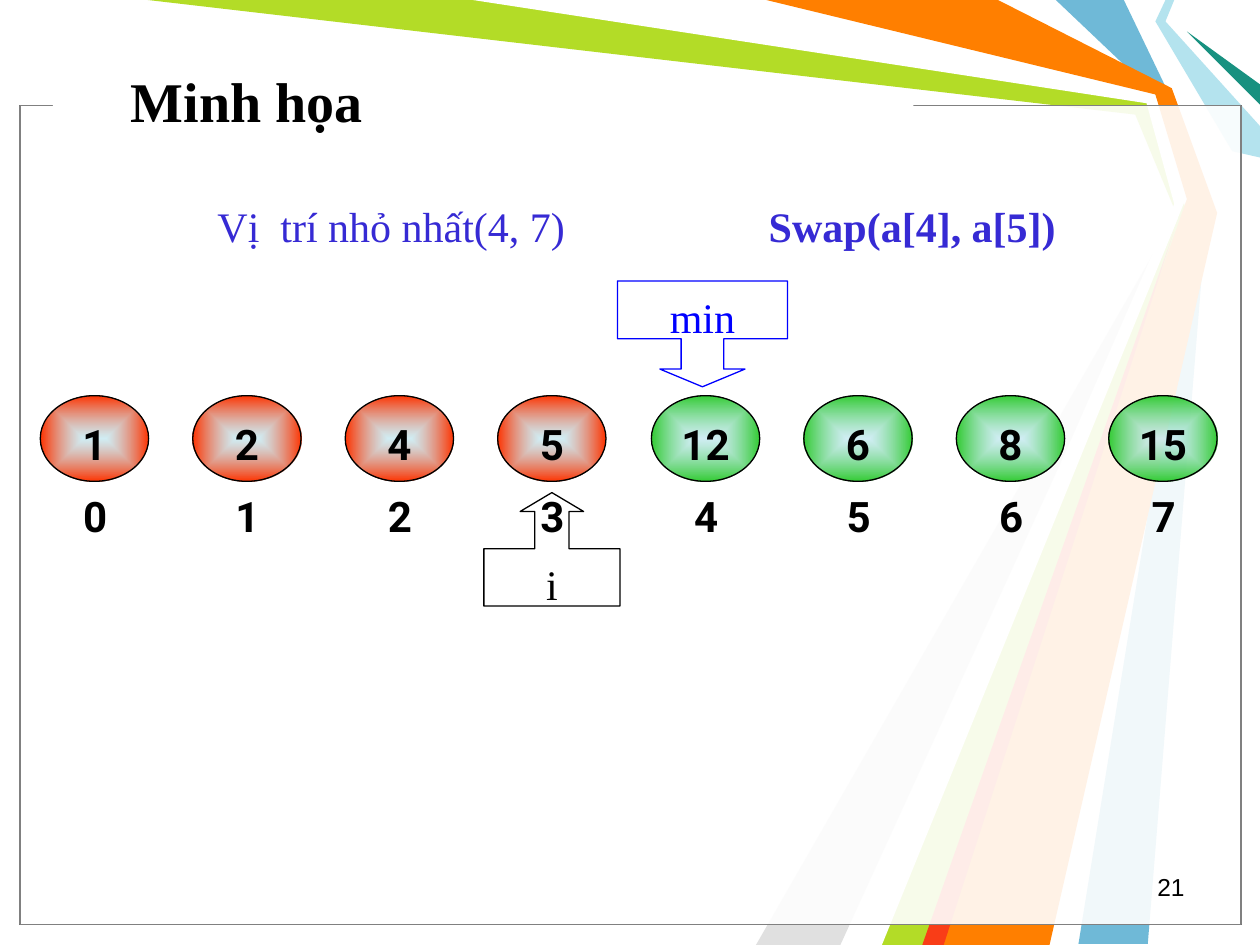
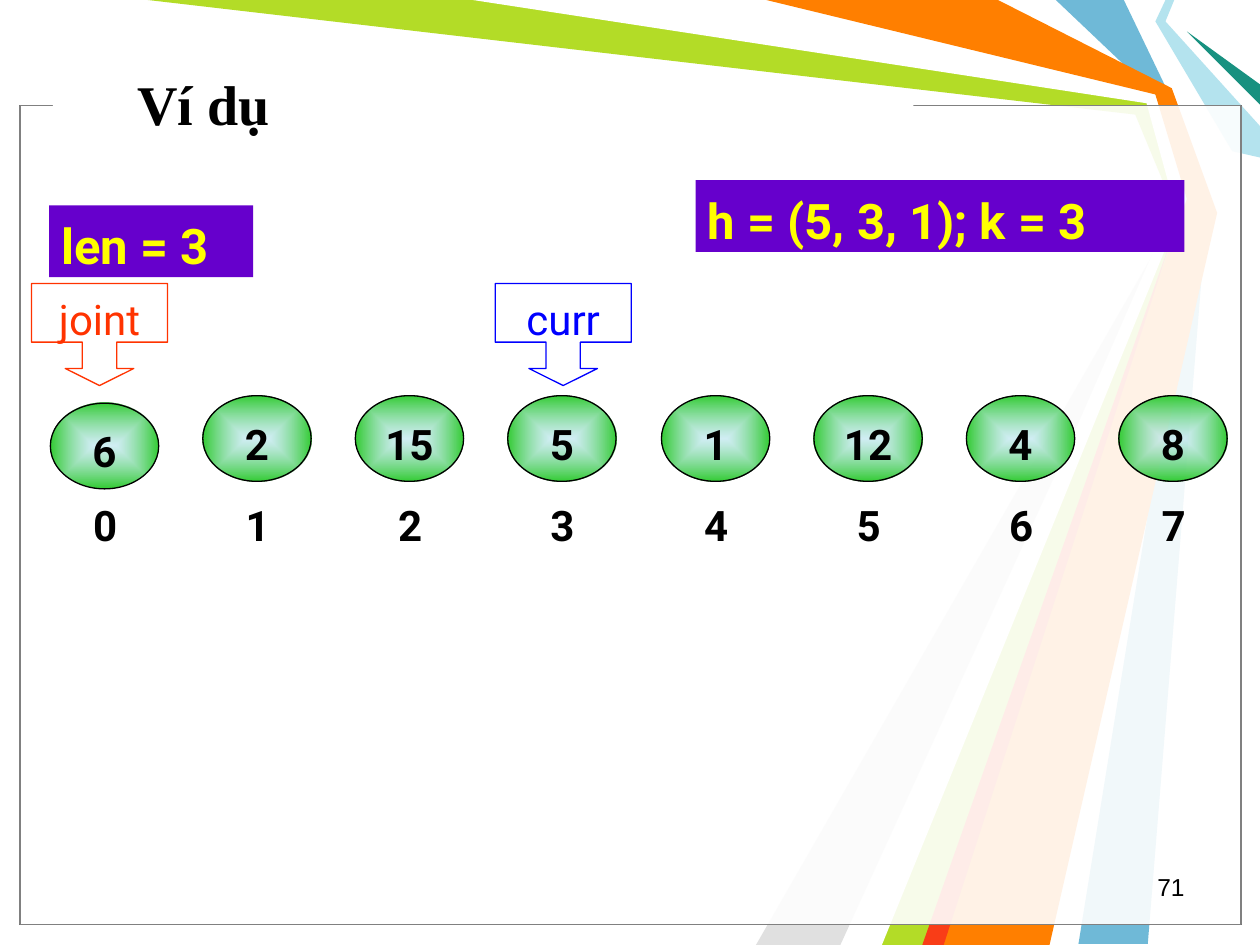
"""Build two slides that step through sorting an array of eight numbers."""
import pptx
import pptx.dml.color
import pptx.enum.shapes
import pptx.enum.text
import pptx.oxml
import pptx.oxml.ns
import pptx.util

PX = 9144
SHAPE = pptx.enum.shapes.MSO_SHAPE
ALIGN = pptx.enum.text.PP_ALIGN
ANCHOR = pptx.enum.text.MSO_ANCHOR
SERIF, SANS, PLAIN = "Times New Roman", "Roboto", "Arial"
BLACK, WHITE, GREY = "000000", "FFFFFF", "808080"
RED, GREEN, BLUE, INDIGO = "FF3300", "33CC33", "0000FF", "362AD4"
PURPLE, YELLOW, GLOW = "6600CC", "FFFF00", "B4E3EE"

RIBBONS = [
    ("6FB9D7", [(892, 0), (929, 77), (958, 167), (911, 749), (856, 749),
                (950, 167), (917, 75), (838, 0)]),
    ("B3DC27", [(117, 0), (383, 0), (914, 78), (942, 169), (742, 750),
                (692, 750), (935, 173), (901, 91)]),
    ("E0E0E0", [(667, 750), (927, 181), (600, 750)]),
    (WHITE, [(375, 0), (910, 82), (932, 162), (675, 750), (700, 750),
             (941, 158), (917, 75), (600, 0)]),
    (GLOW, [(925, 0), (917, 17), (978, 120), (1000, 125), (1000, 100),
            (925, 17), (932, 0)]),
    ("189180", [(1000, 83), (942, 25), (1000, 67)]),
    ("FF7F00", [(608, 0), (792, 0), (930, 70), (966, 169), (833, 750),
                (733, 750), (942, 158), (917, 75)]),
    ("F93D17", [(732, 750), (932, 183), (749, 750)]),
]
FRAME, TITLE_GAP = (16, 84, 969, 650), (42, 74, 683, 17)
PAGE_BOX = (717, 687, 233, 33)
ROW_SPAN, NODE_TOP, NODE_SIZE, INDEX_SIZE = 848, 314, (86, 68), (87, 66)

UP, DOWN = SHAPE.UP_ARROW_CALLOUT, SHAPE.DOWN_ARROW_CALLOUT
SLIDES = [
    dict(title="Minh họa", title_box=(94, 17, 689, 125), page="21",
         values=[1, 2, 4, 5, 12, 6, 8, 15], sorted_count=4,
         row_left=32, index_top=372, first_drop=0,
         pointers=[
             ("i", UP, (384, 391, 108, 90), (.301, .28, .167, .505), BLACK, SERIF),
             ("min", DOWN, (490, 223, 135, 84), (.402, .402, .167, .546), BLUE, SERIF)],
         labels=[
             ("Vị\u00a0 trí nhỏ nhất(4, 7)".replace("\u00a0", " "),
              (139, 151, 343, 50), WHITE, (24, SERIF, INDIGO, False, ALIGN.CENTER)),
             ("Swap(a[4], a[5])",
              (539, 151, 370, 50), WHITE, (24, SERIF, INDIGO, True, ALIGN.CENTER))]),
    dict(title="Ví dụ", title_box=(99, 47, 689, 70), page="71",
         values=[6, 2, 15, 5, 1, 12, 4, 8], sorted_count=0,
         row_left=40, index_top=379, first_drop=6,
         pointers=[
             ("curr", DOWN, (393, 225, 108, 81), (.336, .336, .167, .575), BLUE, SANS),
             ("joint", DOWN, (25, 225, 108, 81), (.336, .336, .167, .575), RED, SANS)],
         labels=[
             ("h = (5, 3, 1); k = 3",
              (552, 143, 388, 57), PURPLE, (28, SANS, YELLOW, True, ALIGN.LEFT)),
             ("len = 3",
              (39, 163, 162, 57), PURPLE, (28, SANS, YELLOW, True, ALIGN.LEFT))]),
]


def rgb(value):
    return pptx.dml.color.RGBColor.from_string(value)


def emu(box):
    return [v * PX for v in box]


def paint(sp, fill=None, line=None):
    sp.shadow.inherit = False
    if fill:
        sp.fill.solid()
        sp.fill.fore_color.rgb = rgb(fill)
    else:
        sp.fill.background()
    if line:
        sp.line.color.rgb = rgb(line)
        sp.line.width = pptx.util.Pt(.75)
    else:
        sp.line.fill.background()


def add_shape(s, kind, box, fill=None, line=None):
    sp = s.shapes.add_shape(kind, *emu(box))
    paint(sp, fill, line)
    return sp


def write(sp, text, size, font, color, bold, align, anchor=ANCHOR.TOP, top=8):
    tf = sp.text_frame
    tf.word_wrap = True
    tf.vertical_anchor = anchor
    tf.margin_top, tf.margin_bottom = top * PX, 5 * PX
    tf.margin_left = tf.margin_right = 0 if align == ALIGN.CENTER else 10 * PX
    p = tf.paragraphs[0]
    p.text, p.alignment = text, align
    p.font.size, p.font.name, p.font.bold = pptx.util.Pt(size), font, bold
    p.font.color.rgb = rgb(color)


def glow(sp, edge):
    grad = pptx.oxml.parse_xml(
        f'<a:gradFill {pptx.oxml.ns.nsdecls("a")} rotWithShape="1"><a:gsLst>'
        f'<a:gs pos="0"><a:srgbClr val="{GLOW}"><a:alpha val="60000"/></a:srgbClr></a:gs>'
        f'<a:gs pos="100000"><a:srgbClr val="{edge}"/></a:gs></a:gsLst>'
        '<a:path path="shape"><a:fillToRect l="50000" t="50000" r="50000" b="50000"/>'
        '</a:path></a:gradFill>')
    spPr = sp.element.spPr
    spPr.replace(spPr.find(pptx.oxml.ns.qn("a:noFill")), grad)


def add_backdrop(s):
    for color, points in RIBBONS:
        builder = s.shapes.build_freeform(*points[0], scale=PX)
        builder.add_line_segments(points[1:], close=True)
        paint(builder.convert_to_shape(), color)
    for line in (BLACK, GREY):
        sp = add_shape(s, SHAPE.RECTANGLE, FRAME, WHITE, line)
        clr = sp.element.spPr.find(".//" + pptx.oxml.ns.qn("a:srgbClr"))
        clr.append(pptx.oxml.parse_xml(
            f'<a:alpha {pptx.oxml.ns.nsdecls("a")} val="69000"/>'))
    add_shape(s, SHAPE.RECTANGLE, TITLE_GAP, WHITE)


def add_array(s, data):
    lefts = [data["row_left"] + round(i * ROW_SPAN / 7) for i in range(8)]
    style = (24, SANS, BLACK, True, ALIGN.CENTER)
    for i, (left, value) in enumerate(zip(lefts, data["values"])):
        top = NODE_TOP + (data["first_drop"] if i == 0 else 0)
        sp = add_shape(s, SHAPE.OVAL, (left, top, *NODE_SIZE), line=BLACK)
        glow(sp, RED if i < data["sorted_count"] else GREEN)
        write(sp, str(value), *style)
    for i, left in enumerate(lefts):
        sp = add_shape(s, SHAPE.OVAL, (left, data["index_top"], *INDEX_SIZE))
        write(sp, str(i), *style)


def build_slide(prs, data):
    s = prs.slides.add_slide(prs.slide_layouts[6])
    add_backdrop(s)
    write(s.shapes.add_textbox(*emu(data["title_box"])), data["title"],
          32, SERIF, BLACK, True, ALIGN.LEFT, ANCHOR.MIDDLE, 5)
    write(s.shapes.add_textbox(*emu(PAGE_BOX)), data["page"],
          14, PLAIN, BLACK, False, ALIGN.RIGHT, top=5)
    add_array(s, data)
    for text, kind, box, adjustments, color, font in data["pointers"]:
        sp = add_shape(s, kind, box, line=color)
        for i, value in enumerate(adjustments):
            sp.adjustments[i] = value
        write(sp, text, 24, font, color, False, ALIGN.CENTER)
    for text, box, fill, style in data["labels"]:
        write(add_shape(s, SHAPE.RECTANGLE, box, fill), text, *style)


def main():
    prs = pptx.Presentation()
    prs.slide_width, prs.slide_height = 1000 * PX, 750 * PX
    for data in SLIDES:
        build_slide(prs, data)
    prs.save("out.pptx")


if __name__ == "__main__":
    main()
